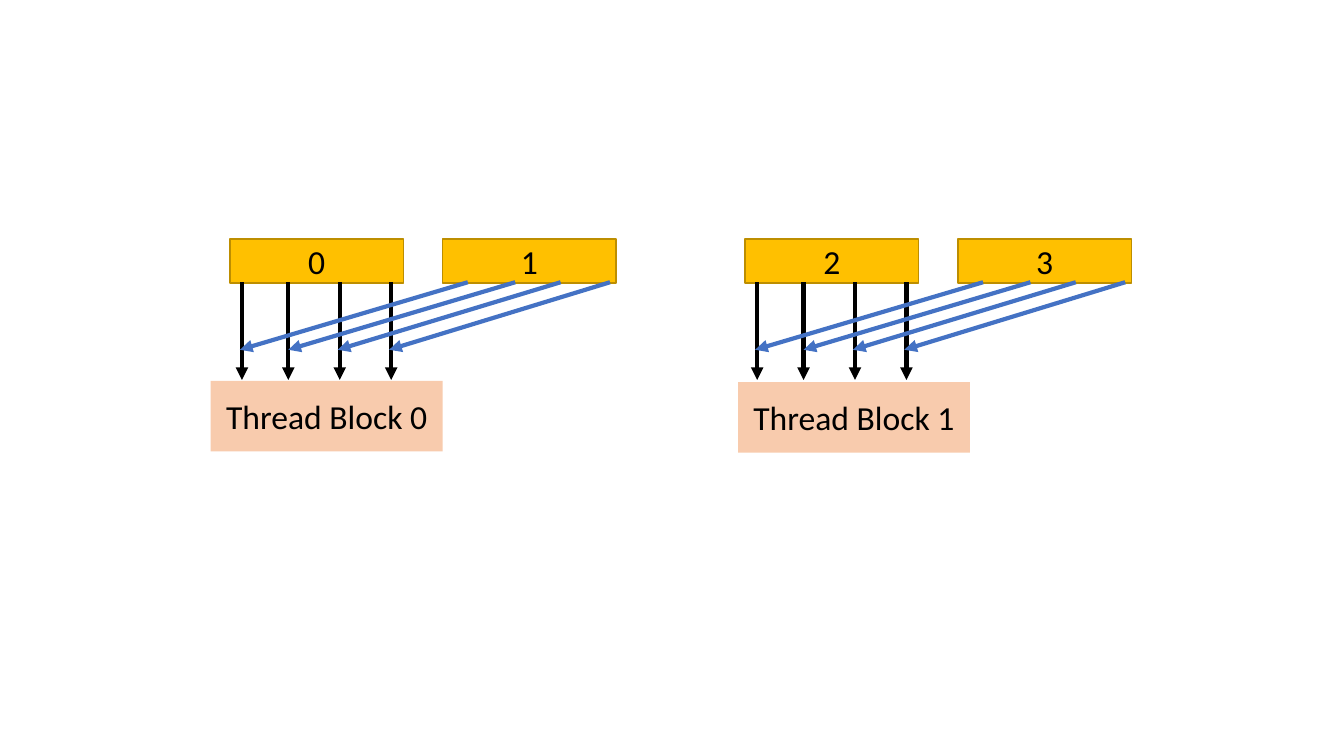
import pptx
import pptx.util
import pptx.dml.color
import pptx.enum.shapes
import pptx.enum.text
import pptx.oxml.ns
import lxml.etree

Inches = pptx.util.Inches
Pt = pptx.util.Pt
RGBColor = pptx.dml.color.RGBColor

AMBER = RGBColor(0xFF, 0xC0, 0x00)
AMBER_EDGE = RGBColor(0xBD, 0x8E, 0x00)
PEACH = RGBColor(0xF8, 0xCB, 0xAD)
BLUE = RGBColor(0x44, 0x72, 0xC4)
BLACK = RGBColor(0, 0, 0)

GROUPS = [
    {"left": 2.28, "tiles": ["0", "1"], "block": "Thread Block 0",
     "block_left": 2.09, "block_top": 3.78},
    {"left": 7.39, "tiles": ["2", "3"], "block": "Thread Block 1",
     "block_left": 7.32, "block_top": 3.79},
]
DIRECT_OFFSETS = [0.12, 0.58, 1.09, 1.6]
CROSSING_OFFSETS = [(2.36, 0.1), (2.83, 0.58), (3.28, 1.07), (3.77, 1.58)]
TILE_TOP, TILE_WIDTH, TILE_HEIGHT, TILE_STEP = 2.37, 1.72, 0.44, 2.11
BLOCK_WIDTH, BLOCK_HEIGHT = 2.3, 0.7
ARROW_TOP, DIRECT_END, CROSSING_END = 2.8, 3.77, 3.47


def add_box(page, label, left, top, width, height, fill, edge=None):
    box = page.shapes.add_shape(
        pptx.enum.shapes.MSO_SHAPE.RECTANGLE,
        Inches(left), Inches(top), Inches(width), Inches(height))
    box.shadow.inherit = False
    box.fill.solid()
    box.fill.fore_color.rgb = fill
    if edge is None:
        box.line.fill.background()
    else:
        box.line.color.rgb = edge
        box.line.width = Pt(1)
    frame = box.text_frame
    frame.text = label
    frame.vertical_anchor = pptx.enum.text.MSO_ANCHOR.MIDDLE
    para = frame.paragraphs[0]
    para.alignment = pptx.enum.text.PP_ALIGN.CENTER
    font = para.runs[0].font
    font.name = "Calibri"
    font.size = Pt(24)
    font.color.rgb = BLACK


def add_arrow(page, start_x, end_x, end_y, color):
    arrow = page.shapes.add_connector(
        pptx.enum.shapes.MSO_CONNECTOR.STRAIGHT,
        Inches(start_x), Inches(ARROW_TOP), Inches(end_x), Inches(end_y))
    arrow.line.color.rgb = color
    arrow.line.width = Pt(3)
    qn = pptx.oxml.ns.qn
    lxml.etree.SubElement(arrow.line._get_or_add_ln(), qn("a:tailEnd"), type="triangle")
    lxml.etree.SubElement(arrow._element.spPr, qn("a:effectLst"))


deck = pptx.Presentation()
deck.slide_width = Inches(13.33)
deck.slide_height = Inches(7.5)
page = deck.slides.add_slide(deck.slide_layouts[6])

for group in GROUPS:
    left = group["left"]
    for index, label in enumerate(group["tiles"]):
        add_box(page, label, left + index * TILE_STEP, TILE_TOP,
                TILE_WIDTH, TILE_HEIGHT, AMBER, AMBER_EDGE)
    add_box(page, group["block"], group["block_left"], group["block_top"],
            BLOCK_WIDTH, BLOCK_HEIGHT, PEACH)
    for offset in DIRECT_OFFSETS:
        add_arrow(page, left + offset, left + offset, DIRECT_END, BLACK)
    for start, end in CROSSING_OFFSETS:
        add_arrow(page, left + start, left + end, CROSSING_END, BLUE)

deck.save("out.pptx")
